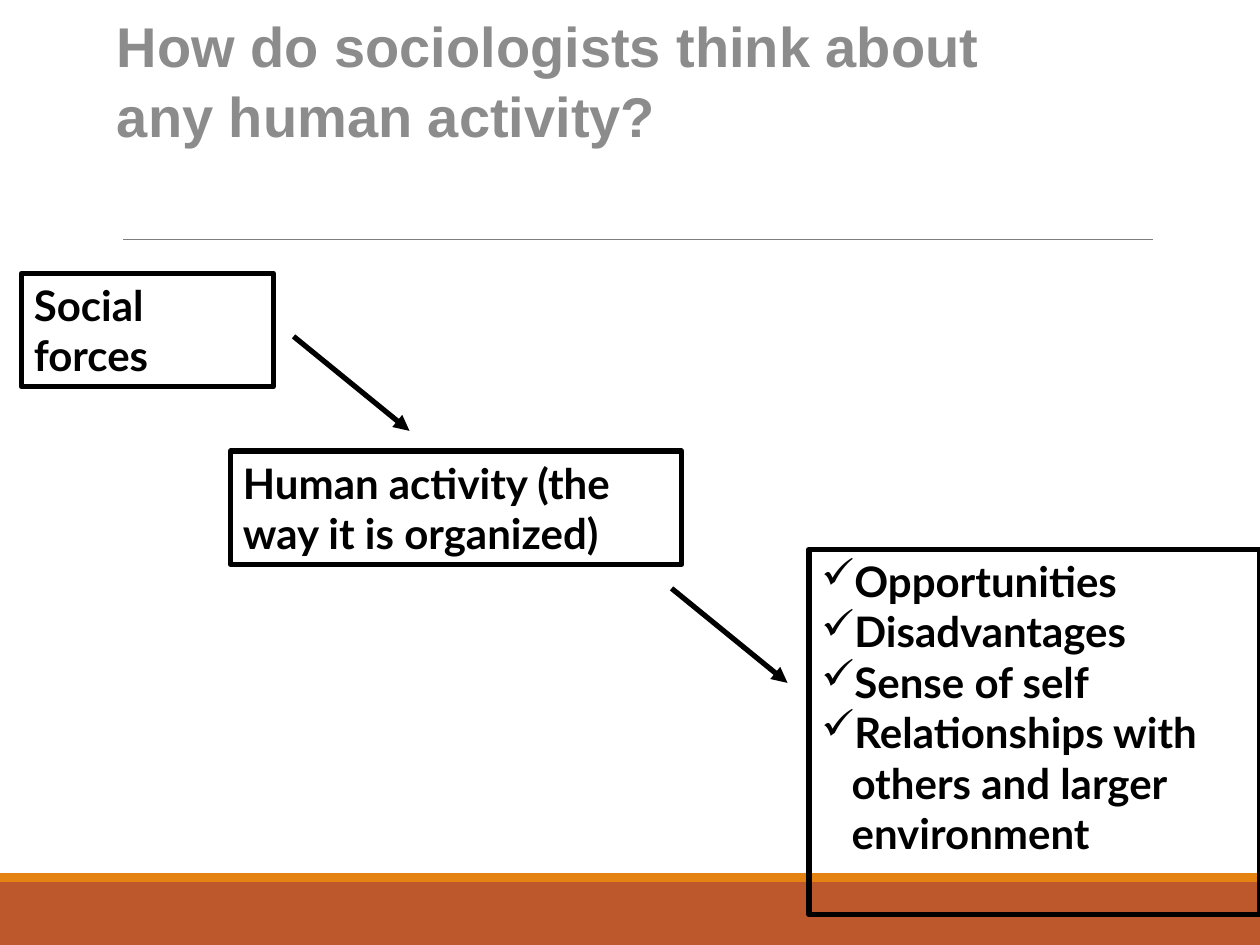
import pptx
import pptx.dml.color
import pptx.enum.shapes
import pptx.enum.text
import pptx.oxml.ns
import pptx.util
from lxml import etree

Inches = pptx.util.Inches
Pt = pptx.util.Pt
qn = pptx.oxml.ns.qn
COLORS = {"ink": "000000", "title": "8C8C8C", "rule": "7F7F7F",
          "band": "BD582C", "stripe": "E48312"}


def color(name):
    return pptx.dml.color.RGBColor.from_string(COLORS[name])


def write(para, text, font="Lato", size=24, ink="ink", bold=True, bullet=None, spacing=None):
    para.alignment = pptx.enum.text.PP_ALIGN.LEFT
    if spacing:
        para.line_spacing = spacing
    if bullet:
        props = para._p.get_or_add_pPr()
        props.set("marL", str(Inches(0.24)))
        props.set("indent", str(-Inches(0.24)))
        etree.SubElement(props, qn("a:buChar"), char=bullet)
    span = para.add_run()
    span.text = text
    span.font.name = font
    span.font.size = Pt(size)
    span.font.bold = bold
    span.font.color.rgb = color(ink)


class SlideBuilder:
    """Holds the style and the current slide."""

    def __init__(self, page, line_width=3):
        self.page = page
        self.line_width = line_width

    def fill_frame(self, frame, lines, **style):
        frame.word_wrap = True
        frame.vertical_anchor = pptx.enum.text.MSO_ANCHOR.TOP
        for index, line in enumerate(lines):
            para = frame.add_paragraph() if index else frame.paragraphs[0]
            write(para, line, **style)

    def rectangle(self, left, top, width, height):
        box = self.page.shapes.add_shape(
            pptx.enum.shapes.MSO_SHAPE.RECTANGLE,
            Inches(left), Inches(top), Inches(width), Inches(height))
        box.shadow.inherit = False
        return box

    def band(self, top, height, fill):
        box = self.rectangle(0, top, 10, height)
        box.fill.solid()
        box.fill.fore_color.rgb = color(fill)
        box.line.fill.background()

    def framed_box(self, left, top, width, height, lines, **style):
        box = self.rectangle(left, top, width, height)
        box.fill.background()
        box.line.color.rgb = color("ink")
        box.line.width = Pt(self.line_width)
        self.fill_frame(box.text_frame, lines, **style)

    def title(self, left, top, width, height, lines):
        box = self.page.shapes.add_textbox(
            Inches(left), Inches(top), Inches(width), Inches(height))
        box.text_frame.margin_top = Inches(0.07)
        self.fill_frame(box.text_frame, lines, font="Arial", size=32, ink="title", spacing=1.04)

    def line(self, left, top, width, height, ink="ink", weight=None, arrow=False):
        connector = self.page.shapes.add_connector(
            pptx.enum.shapes.MSO_CONNECTOR.STRAIGHT,
            Inches(left), Inches(top), Inches(left + width), Inches(top + height))
        connector.line.color.rgb = color(ink)
        connector.line.width = Pt(weight or self.line_width)
        if arrow:
            etree.SubElement(connector.line._get_or_add_ln(), qn("a:tailEnd"), type="triangle")
        etree.SubElement(connector._element.spPr, qn("a:effectLst"))


def main():
    deck = pptx.Presentation()
    deck.slide_width, deck.slide_height = Inches(10), Inches(7.5)
    slide = SlideBuilder(deck.slides.add_slide(deck.slide_layouts[6]))

    slide.band(7, 0.5, "band")
    slide.band(6.93, 0.07, "stripe")
    slide.line(0.98, 1.9, 8.17, 0, ink="rule", weight=0.5)

    slide.framed_box(0.17, 2.17, 2, 0.9, ["Social forces"])
    slide.framed_box(1.83, 3.58, 3.58, 0.9, ["Human activity (the way it is organized)"])
    slide.framed_box(6.42, 4.36, 3.58, 2.9, [
        "Opportunities", "Disadvantages", "Sense of self",
        "Relationships with others and larger environment"], bullet="✓")
    for left, top in ((2.33, 2.67), (5.33, 4.67)):
        slide.line(left, top, 0.92, 0.75, arrow=True)

    slide.title(0.83, 0, 8.75, 1.17,
                ["How do sociologists think about", "any human activity?"])
    deck.save("out.pptx")


if __name__ == "__main__":
    main()
